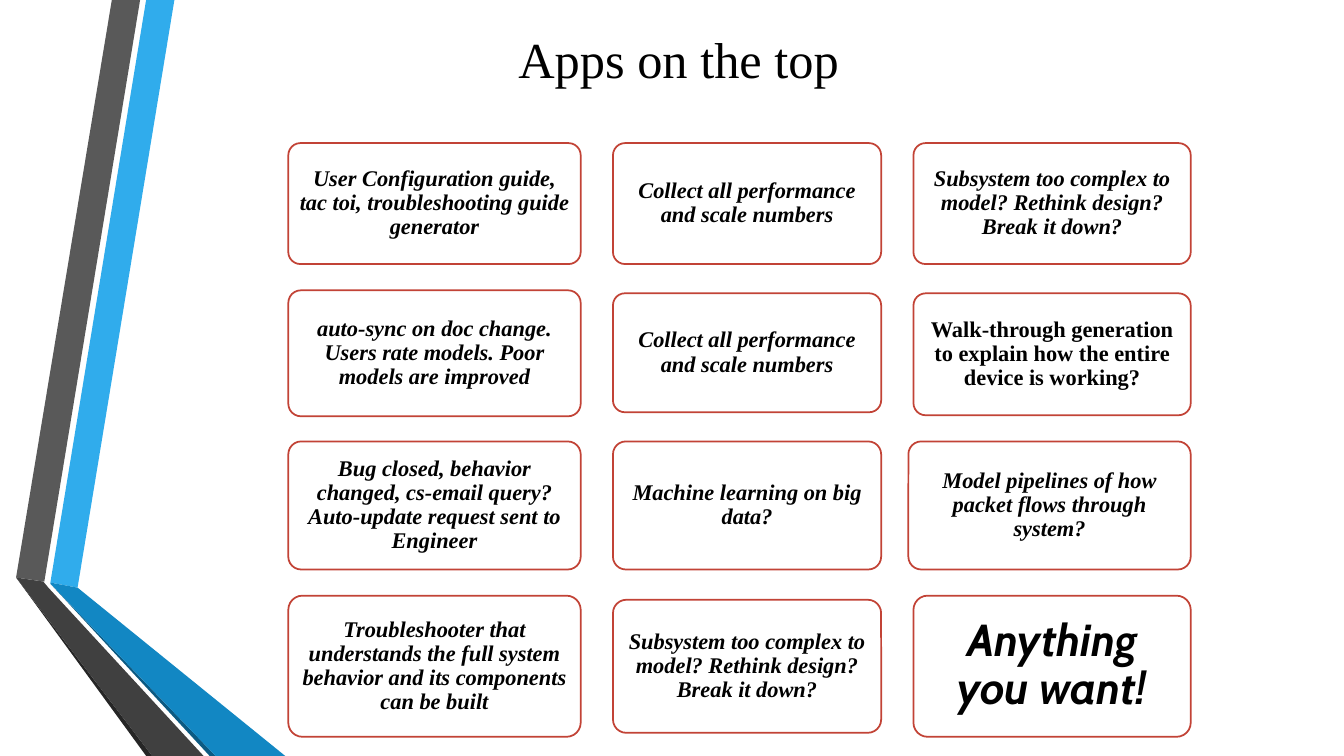
from pptx import Presentation
from pptx.dml.color import RGBColor
from pptx.enum.shapes import MSO_SHAPE
from pptx.enum.text import MSO_ANCHOR, PP_ALIGN
from pptx.util import Inches, Pt

COLORS = {
    "text": "000000", "card": "FFFFFF", "border": "C24336",
    "blue": "30ACEC", "blue fold": "1287C3", "blue edge": "0C5A82",
    "gray": "595959", "gray fold": "404040", "gray edge": "262626",
}


def color(key):
    return RGBColor.from_string(COLORS[key])


def write(frame, text, font="Times New Roman", size=16, bold=True, italic=True,
          align=PP_ALIGN.CENTER, spacing=0.9, inset=0.07, wrap=True):
    frame.word_wrap = wrap
    frame.vertical_anchor = MSO_ANCHOR.MIDDLE
    frame.margin_left = frame.margin_right = Inches(inset)
    frame.margin_top = frame.margin_bottom = Inches(inset)
    paragraph = frame.paragraphs[0]
    paragraph.alignment = align
    paragraph.line_spacing = spacing
    run = paragraph.add_run()
    run.text = text
    run.font.name = font
    run.font.size = Pt(size)
    run.font.bold = bold
    run.font.italic = italic
    run.font.color.rgb = color("text")


prs = Presentation()
prs.slide_width, prs.slide_height = Inches(13.33), Inches(7.5)
slide = prs.slides.add_slide(prs.slide_layouts[5])

# Folded ribbons on the left, from back to front
ribbons = [
    ("blue", [(0.5, 5.78), (0.77, 5.83), (1.73, 0), (1.45, 0)]),
    ("gray", [(1.39, 0), (1.11, 0), (0.16, 5.73), (0.44, 5.77)]),
    ("gray edge", [(0.16, 5.73), (1.45, 7.5), (1.51, 7.5)]),
    ("blue edge", [(0.5, 5.79), (2.08, 7.5), (2.14, 7.5)]),
    ("blue fold", [(0.5, 5.79), (2.14, 7.5), (2.83, 7.5), (0.77, 5.83), (0.5, 5.78)]),
    ("gray fold", [(2.02, 7.5), (0.48, 5.83), (0.43, 5.77), (0.16, 5.73), (1.51, 7.5)]),
]
for shade, corners in ribbons:
    points = [(Inches(x), Inches(y)) for x, y in corners]
    outline = slide.shapes.build_freeform(*points[0])
    outline.add_line_segments(points[1:], close=True)
    ribbon = outline.convert_to_shape()
    ribbon.fill.solid()
    ribbon.fill.fore_color.rgb = color(shade)
    ribbon.line.fill.background()
    ribbon.shadow.inherit = False

# Title
title = slide.shapes.title
title.left, title.top = Inches(5.04), Inches(0.22)
title.width, title.height = Inches(3.54), Inches(0.71)
write(title.text_frame, "Apps on the top", size=36, bold=False, italic=False,
      align=PP_ALIGN.LEFT, spacing=1.0, inset=0.1, wrap=False)

# App cards by column: left, width, then (top, height, text, format) per card
numbers = "Collect all performance and scale numbers"
rethink = "Subsystem too complex to model? Rethink design? Break it down?"
columns = [
    (2.86, 2.9, [
        (1.42, 1.2, "User Configuration guide, tac toi, troubleshooting guide generator", {}),
        (2.88, 1.25, "auto-sync on doc change. Users rate models. Poor models are improved", {}),
        (4.38, 1.27, "Bug closed, behavior changed, cs-email query? "
                     "Auto-update request sent to Engineer", {}),
        (5.91, 1.4, "Troubleshooter that understands the full system behavior "
                    "and its components can be built", {}),
    ]),
    (6.08, 2.66, [
        (1.42, 1.2, numbers, {}),
        (2.91, 1.18, numbers, {}),
        (4.38, 1.27, "Machine learning on big data?", {"inset": 0.08}),
        (5.95, 1.32, rethink, {}),
    ]),
    (9.06, 2.75, [
        (1.42, 1.2, rethink, {}),
        (2.91, 1.21, "Walk-through generation to explain how the entire device is working?",
         {"italic": False}),
        (4.38, 1.27, "Model pipelines of how packet flows through system?", {"inset": 0.08}),
        (5.91, 1.4, "Anything you want!", {"font": "Cabin", "size": 32, "inset": 0.13}),
    ]),
]
for left, width, cards in columns:
    for top, height, text, style in cards:
        # The pipelines card reaches a little further left than its column
        extra = 0.05 if text.startswith("Model pipelines") else 0
        card = slide.shapes.add_shape(
            MSO_SHAPE.ROUNDED_RECTANGLE, Inches(left - extra), Inches(top),
            Inches(width + extra), Inches(height))
        card.adjustments[0] = 0.1
        card.fill.solid()
        card.fill.fore_color.rgb = color("card")
        card.line.color.rgb = color("border")
        card.line.width = Pt(1.25)
        card.shadow.inherit = False
        write(card.text_frame, text, **style)

prs.save("out.pptx")
